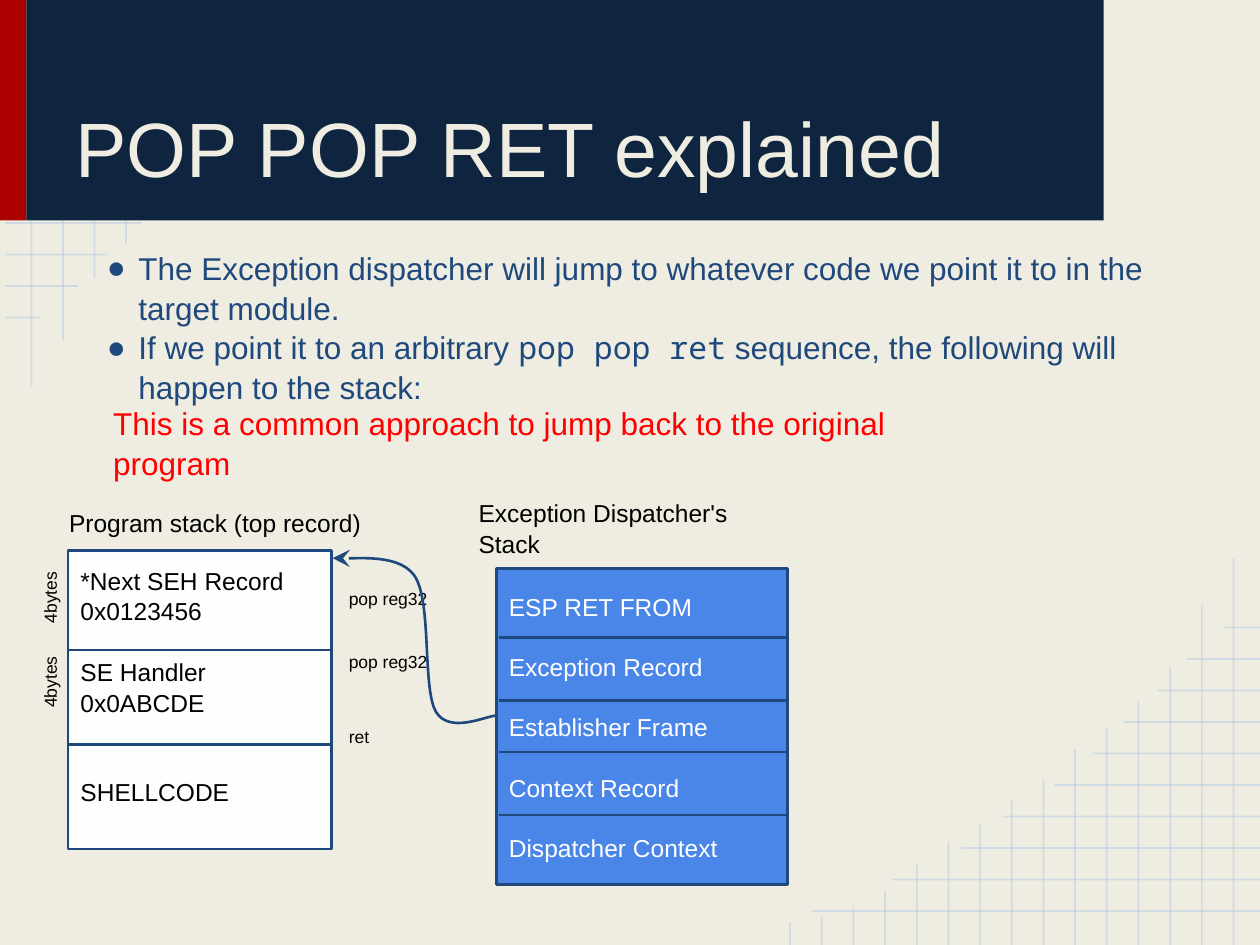
from lxml import etree
from pptx import Presentation
from pptx.dml import color
from pptx.enum import shapes, text
from pptx.oxml import ns
from pptx.util import Inches, Pt

NAVY, BLUE, CREAM, GRID = "0F243E", "1F497D", "EFEDE2", "B7CCE4"
BLACK, WHITE, RED = "000000", "FFFFFF", "FF0000"
LEAD = 1.05


def rgb(code):
    return color.RGBColor.from_string(code)


def sub(node, tag, **attrs):
    return etree.SubElement(node, ns.qn(tag), attrs)


def add_run(para, words, size, ink, font="Arial"):
    run = para.add_run()
    run.text = words
    run.font.size = Pt(size)
    run.font.name = font
    run.font.color.rgb = rgb(ink)


def set_frame(shape, anchor, foot=0.1):
    frame = shape.text_frame
    frame.word_wrap = True
    frame.auto_size = text.MSO_AUTO_SIZE.NONE
    frame.vertical_anchor = anchor
    frame.margin_left = frame.margin_right = frame.margin_top = Inches(0.1)
    frame.margin_bottom = Inches(foot)
    return frame


def add_para(frame, first, gap=0):
    para = frame.paragraphs[0] if first else frame.add_paragraph()
    para.alignment = text.PP_ALIGN.LEFT
    para.line_spacing = LEAD
    para.space_before = Pt(gap)
    return para


def add_label(slide, box, words, size, ink=BLACK, turn=0):
    label = slide.shapes.add_textbox(*map(Inches, box))
    label.rotation = turn
    frame = set_frame(label, text.MSO_ANCHOR.TOP)
    add_run(add_para(frame, True), words, size, ink)


def add_rect(slide, box, fill, line=None):
    rect = slide.shapes.add_shape(shapes.MSO_SHAPE.RECTANGLE, *map(Inches, box))
    rect.shadow.inherit = False
    rect.fill.solid()
    rect.fill.fore_color.rgb = rgb(fill)
    if line:
        rect.line.color.rgb = rgb(line)
        rect.line.width = Pt(1.5)
    else:
        rect.line.fill.background()
    return rect


def add_line(slide, x1, y1, x2, y2, ink=BLUE, width=1.5, alpha=None):
    line = slide.shapes.add_connector(
        shapes.MSO_CONNECTOR.STRAIGHT, *map(Inches, (x1, y1, x2, y2)))
    line.line.color.rgb = rgb(ink)
    line.line.width = Pt(width)
    if alpha:
        tone = line.line._get_or_add_ln().find(".//" + ns.qn("a:srgbClr"))
        sub(tone, "a:alpha", val=str(alpha * 1000))
    sub(line.element.spPr, "a:effectLst")


def add_grid(slide):
    def rule(*ends):
        add_line(slide, *ends, ink=GRID, width=1, alpha=54)

    # Upper left corner
    for i, end in enumerate((1.12, 0.85, 0.62, 0.32)):
        rule(0.04, 1.77 + i * 0.25, end, 1.77 + i * 0.25)
    for i, end in enumerate((3.07, 2.7, 2.21, 1.93)):
        rule(0.25 + i * 0.25, end, 0.25 + i * 0.25, 0)
    # Lower right corner
    for i, end in enumerate((6.44, 7.08, 7.63, 7.96, 8.37, 8.67,
                             8.92, 9.19, 9.42, 9.71)):
        rule(10, 7.23 - i * 0.25, end, 7.23 - i * 0.25)
    for i, end in enumerate((4.43, 4.8, 5.29, 5.57, 5.78, 5.95, 6.19, 6.35,
                             6.54, 6.68, 6.86, 7.07, 7.18, 7.28, 7.32)):
        x = 9.79 - i * 0.2514
        rule(x, end, x, 7.5)


def add_title(slide, words):
    title = slide.shapes.title
    title.left, title.top, title.width, title.height = map(
        Inches, (0.5, 0.15, 8, 1.48))
    frame = set_frame(title, text.MSO_ANCHOR.BOTTOM)
    para = frame.paragraphs[0]
    para.alignment = text.PP_ALIGN.LEFT
    add_run(para, words, 44, CREAM)
    title.element.getparent().append(title.element)


def add_body(slide, items):
    body = slide.shapes.add_textbox(*map(Inches, (0.5, 1.86, 9, 5.29)))
    frame = set_frame(body, text.MSO_ANCHOR.TOP)
    for i, runs in enumerate(items):
        para = add_para(frame, i == 0)
        props = para._p.get_or_add_pPr()
        props.set("marL", str(Inches(0.5)))
        props.set("indent", str(-Inches(0.25)))
        sub(sub(props, "a:buClr"), "a:srgbClr", val=BLUE)
        sub(props, "a:buFont", typeface="Arial")
        sub(props, "a:buChar", char="●")
        for words, font in runs:
            add_run(para, words, 18, BLUE, font)


def add_stack(slide, box, fill, ink, rows, foot=0.1):
    rect = add_rect(slide, box, fill, BLUE)
    frame = set_frame(rect, text.MSO_ANCHOR.MIDDLE, foot)
    for i, (words, gap) in enumerate(rows):
        add_run(add_para(frame, i == 0, gap), words, 14, ink)


def add_rules(slide, left, right, tops):
    for y in tops:
        add_line(slide, left, y, right, y)


def add_curve(slide, start, bends, steps=16):
    points = []
    for bend in bends:
        knots = (start, *bend)
        for n in range(1, steps + 1):
            t = n / steps
            parts = ((1 - t) ** 3, 3 * t * (1 - t) ** 2,
                     3 * t * t * (1 - t), t ** 3)
            points.append(tuple(
                Inches(sum(w * k[axis] for w, k in zip(parts, knots)))
                for axis in (0, 1)))
        start = bend[-1]
    first = tuple(map(Inches, (3.94, 5.68)))
    form = slide.shapes.build_freeform(*first)
    form.add_line_segments(points, close=False)
    curve = form.convert_to_shape()
    curve.shadow.inherit = False
    curve.fill.background()
    curve.line.color.rgb = rgb(BLUE)
    curve.line.width = Pt(1.5)
    sub(curve.line._get_or_add_ln(), "a:tailEnd", type="stealth",
        w="lg", len="lg")


def main():
    deck = Presentation()
    deck.slide_width, deck.slide_height = Inches(10), Inches(7.5)
    slide = deck.slides.add_slide(deck.slide_layouts[5])
    slide.background.fill.solid()
    slide.background.fill.fore_color.rgb = rgb(CREAM)

    # Backdrop and heading
    add_grid(slide)
    add_rect(slide, (0, -0.01, 0.21, 1.76), "AB0101")
    add_rect(slide, (0.21, -0.01, 8.55, 1.76), NAVY)
    add_title(slide, "POP POP RET explained")
    add_body(slide, [
        [("The Exception dispatcher will jump to whatever code we point it "
          "to in the target module.", "Arial")],
        [("If we point it to an arbitrary ", "Arial"),
         ("pop pop ret", "Noto Sans Mono"),
         (" sequence, the following will happen to the stack:", "Arial")]])

    # Dispatcher stack
    names = ("ESP RET FROM", "Exception Record", "Establisher Frame",
             "Context Record", "Dispatcher Context")
    add_stack(slide, (3.94, 4.51, 2.31, 2.51), "4A86E8", WHITE,
              [(name, 16.8 if i else 0) for i, name in enumerate(names)])
    add_label(slide, (3.7, 3.84, 2.52, 0.64), "Exception Dispatcher's Stack", 14)
    add_rules(slide, 3.96, 6.26, (5.06, 5.56, 5.97, 6.47))

    # Instructions
    for y, words in ((4.56, "pop reg32"), (5.06, "pop reg32"), (5.65, "ret")):
        add_label(slide, (2.67, y, 1.23, 0.22), words, 10)

    # Program stack
    add_stack(slide, (0.54, 4.37, 2.09, 2.37), "FDFFFF", BLACK,
              [("*Next SEH Record", 0), ("0x0123456", 0), ("SE Handler", 16.8),
               ("0x0ABCDE", 0), ("SHELLCODE", 33.6)], 0.33)
    add_label(slide, (0.45, 3.92, 2.62, 0.64), "Program stack (top record)", 14)
    add_rules(slide, 0.54, 2.64, (5.16, 5.91))
    for y in (4.56, 5.23):
        add_label(slide, (-0.06, y, 0.75, 0.22), "4bytes", 10, turn=270)

    # Jump back
    add_curve(slide, (3.94, 5.68), [
        ((3.86, 5.68), (3.57, 5.83), (3.46, 5.65)),
        ((3.35, 5.46), (3.43, 4.77), (3.29, 4.57)),
        ((3.15, 4.37), (2.75, 4.45), (2.64, 4.43))])
    add_label(slide, (0.8, 3.09, 6.77, 0.69), "This is a common approach to "
              "jump back to the original program", 18, RED)
    deck.save("out.pptx")


main()
